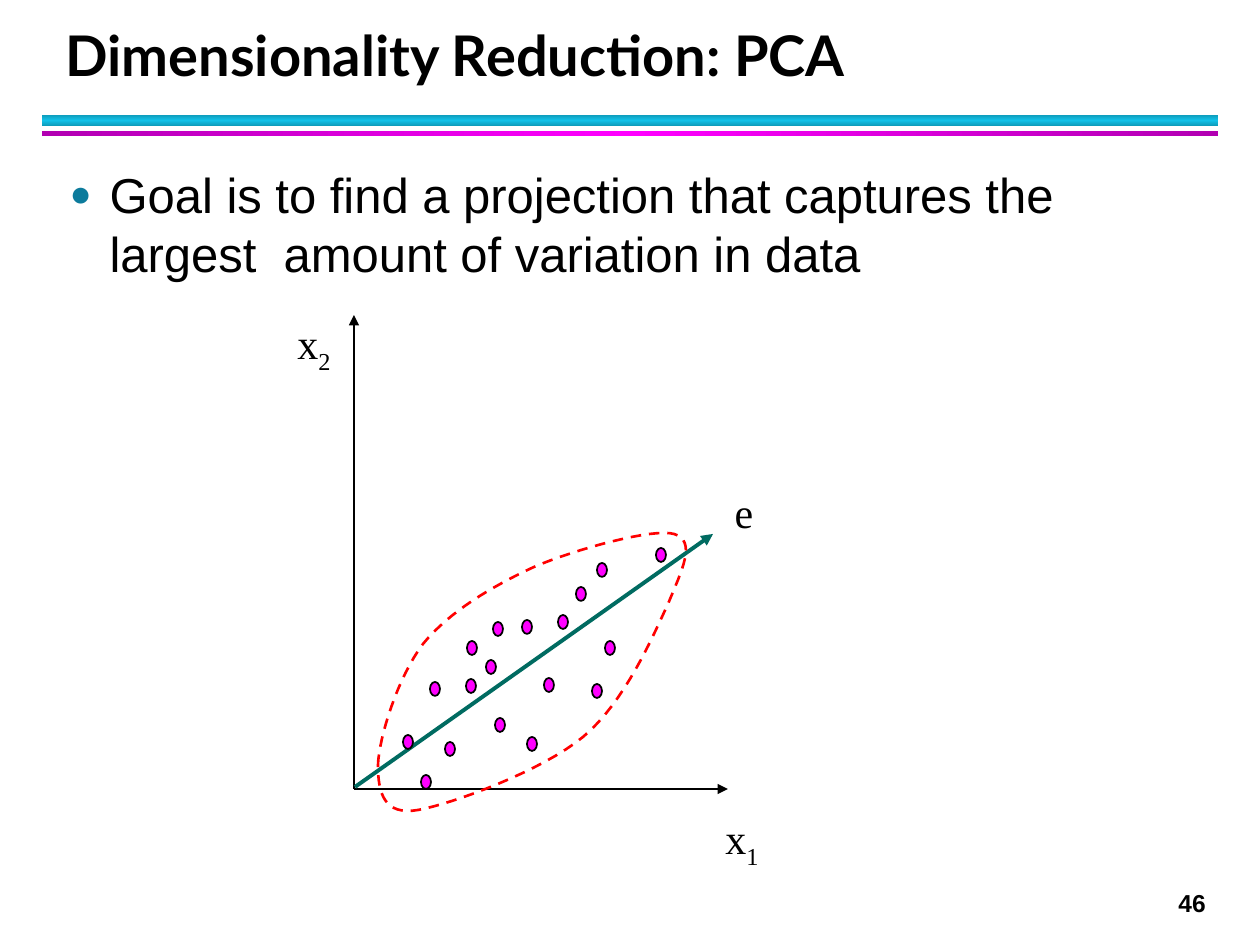
from dataclasses import dataclass

from lxml.etree import SubElement
from pptx import Presentation
from pptx.dml.color import RGBColor
from pptx.enum.dml import MSO_LINE_DASH_STYLE as Dash
from pptx.enum.shapes import MSO_CONNECTOR as Connector, MSO_SHAPE as Shape
from pptx.enum.text import MSO_ANCHOR as Anchor, MSO_AUTO_SIZE as AutoSize, PP_ALIGN as Align
from pptx.oxml.ns import qn
from pptx.util import Pt

PX = 914400 / 126


@dataclass(frozen=True)
class Theme:
    black: str = "000000"
    dot: str = "FF00FF"
    vector: str = "006B61"
    outline: str = "FF0000"
    bullet: str = "0C7B9C"
    title_font: str = "Lato"
    body_font: str = "Arial"
    label_font: str = "Times New Roman"
    title_size: int = 32
    body_size: int = 28
    label_size: int = 24
    number_size: int = 14


THEME = Theme()

TITLE = "Dimensionality Reduction: PCA"
GOAL = "Goal is to find a projection that captures the largest  amount of variation in data"
PAGE_NUMBER = "46"

# (left, top, width, height), edge colour, middle colour, angle
RULES = [
    ((42, 115, 1176, 11), "0E9BBA", "12C2E9", 90),
    ((42, 131, 1176, 5), "B200B2", "FF00FF", 0),
]
# start, end, colour, width in points
ARROWS = [
    ((354, 789), (354, 315), THEME.black, 1),
    ((354, 789), (728, 789), THEME.black, 1),
    ((355, 787), (713, 534), THEME.vector, 2.25),
]
DOT_SIZE = (10, 14)
DOTS = [
    (430, 682), (467, 641), (403, 735), (486, 660), (466, 679), (544, 678),
    (527, 737), (495, 718), (522, 620), (605, 641), (656, 548), (445, 742),
    (558, 615), (597, 563), (493, 622), (576, 587), (592, 684), (421, 775),
]
# Cloud outline: a start point, then Bezier segments (control, control, end)
CLOUD_START = (378, 765)
CLOUD_CURVES = [
    ((379, 737), (398, 677), (423, 644)),
    ((450, 611), (493, 586), (534, 567)),
    ((576, 549), (653, 528), (674, 534)),
    ((697, 541), (682, 570), (668, 604)),
    ((653, 636), (625, 702), (583, 737)),
    ((542, 771), (452, 804), (418, 810)),
    ((384, 816), (378, 793), (378, 765)),
]
CURVE_STEPS = 16
# letter, subscript, (left, top, width, height)
LABELS = [
    ("x", "2", (284, 315, 60, 63)),
    ("x", "1", (712, 810, 60, 63)),
    ("e", "", (722, 480, 44, 63)),
]


def emu(*lengths):
    return [round(length * PX) for length in lengths]


def rgb(colour):
    return RGBColor.from_string(colour)


def style(para, name, size, bold=False):
    font = para.font
    font.name, font.size, font.bold = name, Pt(size), bold
    font.color.rgb = rgb(THEME.black)


def place(box, frame):
    box.left, box.top, box.width, box.height = emu(*frame)


def set_line(shape, colour, width):
    shape.line.color.rgb = rgb(colour)
    shape.line.width = Pt(width)


def add_rule(page, frame, edge, middle, angle):
    rule = page.shapes.add_shape(Shape.RECTANGLE, *emu(*frame))
    rule.shadow.inherit = False
    rule.line.fill.background()
    rule.fill.gradient()
    rule.fill.gradient_angle = angle
    stops = rule.fill._fill._gradFill.find(qn("a:gsLst"))
    for stop in list(stops):
        stops.remove(stop)
    for position, colour in ((0, edge), (50, middle), (100, edge)):
        stop = SubElement(stops, qn("a:gs"), pos=str(position * 1000))
        SubElement(stop, qn("a:srgbClr"), val=colour)


def add_arrow(page, start, end, colour, width):
    arrow = page.shapes.add_connector(Connector.STRAIGHT, *emu(*start, *end))
    set_line(arrow, colour, width)
    SubElement(arrow.line._get_or_add_ln(), qn("a:tailEnd"), type="triangle")
    SubElement(arrow._element.spPr, qn("a:effectLst"))


def add_dot(page, corner):
    dot = page.shapes.add_shape(Shape.OVAL, *emu(*corner, *DOT_SIZE))
    dot.shadow.inherit = False
    dot.fill.solid()
    dot.fill.fore_color.rgb = rgb(THEME.dot)
    set_line(dot, THEME.black, 1)


def curve_points(start, curves):
    """Sample each cubic Bezier segment at equal parameter steps."""
    points = []
    for first, second, end in curves:
        for step in range(1, CURVE_STEPS + 1):
            t = step / CURVE_STEPS
            u = 1 - t
            weights = (u**3, 3 * u * u * t, 3 * u * t * t, t**3)
            corners = (start, first, second, end)
            points.append(tuple(
                sum(w * c[axis] for w, c in zip(weights, corners)) for axis in (0, 1)))
        start = end
    return points


def add_cloud(page):
    builder = page.shapes.build_freeform(*emu(*CLOUD_START), scale=1.0)
    points = curve_points(CLOUD_START, CLOUD_CURVES)
    builder.add_line_segments([emu(*point) for point in points], close=True)
    cloud = builder.convert_to_shape()
    cloud.shadow.inherit = False
    cloud.fill.background()
    set_line(cloud, THEME.outline, 1.5)
    cloud.line.dash_style = Dash.DASH


def add_text(page, text, frame):
    box = page.shapes.add_textbox(*emu(*frame))
    box.text_frame.word_wrap = False
    para = box.text_frame.paragraphs[0]
    para.add_run().text = text
    return box, para


def add_label(page, letter, subscript, frame):
    box, para = add_text(page, letter, frame)
    box.text_frame.vertical_anchor = Anchor.MIDDLE
    para.alignment = Align.CENTER
    style(para, THEME.label_font, THEME.label_size)
    if subscript:
        span = para.add_run()
        span.text = subscript
        span.font._element.set("baseline", "-25000")


def fill_title(box):
    place(box, (53, 21, 1142, 73))
    box.text_frame.text = TITLE
    box.text_frame.auto_size = AutoSize.NONE
    box.text_frame.vertical_anchor = Anchor.BOTTOM
    para = box.text_frame.paragraphs[0]
    para.alignment = Align.LEFT
    para.line_spacing = Pt(36)
    style(para, THEME.title_font, THEME.title_size, bold=True)


def fill_body(box):
    place(box, (57, 158, 1147, 714))
    box.text_frame.text = GOAL
    box.text_frame.auto_size = AutoSize.NONE
    para = box.text_frame.paragraphs[0]
    para.space_before, para.space_after = Pt(0), Pt(4)
    props = para._p.get_or_add_pPr()
    indent = emu(40)[0]
    props.set("marL", str(indent))
    props.set("indent", str(-indent))
    SubElement(SubElement(props, qn("a:buClr")), qn("a:srgbClr"), val=THEME.bullet)
    SubElement(props, qn("a:buSzPct"), val="75000")
    SubElement(props, qn("a:buFont"), typeface=THEME.body_font)
    SubElement(props, qn("a:buChar"), char="●")
    style(para, THEME.body_font, THEME.body_size)


def main():
    deck = Presentation()
    deck.slide_width, deck.slide_height = emu(1260, 945)
    page = deck.slides.add_slide(deck.slide_layouts[1])
    fill_title(page.shapes.title)
    fill_body(page.placeholders[1])
    for rule in RULES:
        add_rule(page, *rule)
    number = add_text(page, PAGE_NUMBER, (1166, 882, 55, 43))[1]
    style(number, THEME.body_font, THEME.number_size, bold=True)
    for arrow in ARROWS:
        add_arrow(page, *arrow)
    for corner in DOTS:
        add_dot(page, corner)
    add_cloud(page)
    for label in LABELS:
        add_label(page, *label)
    deck.save("out.pptx")


if __name__ == "__main__":
    main()
